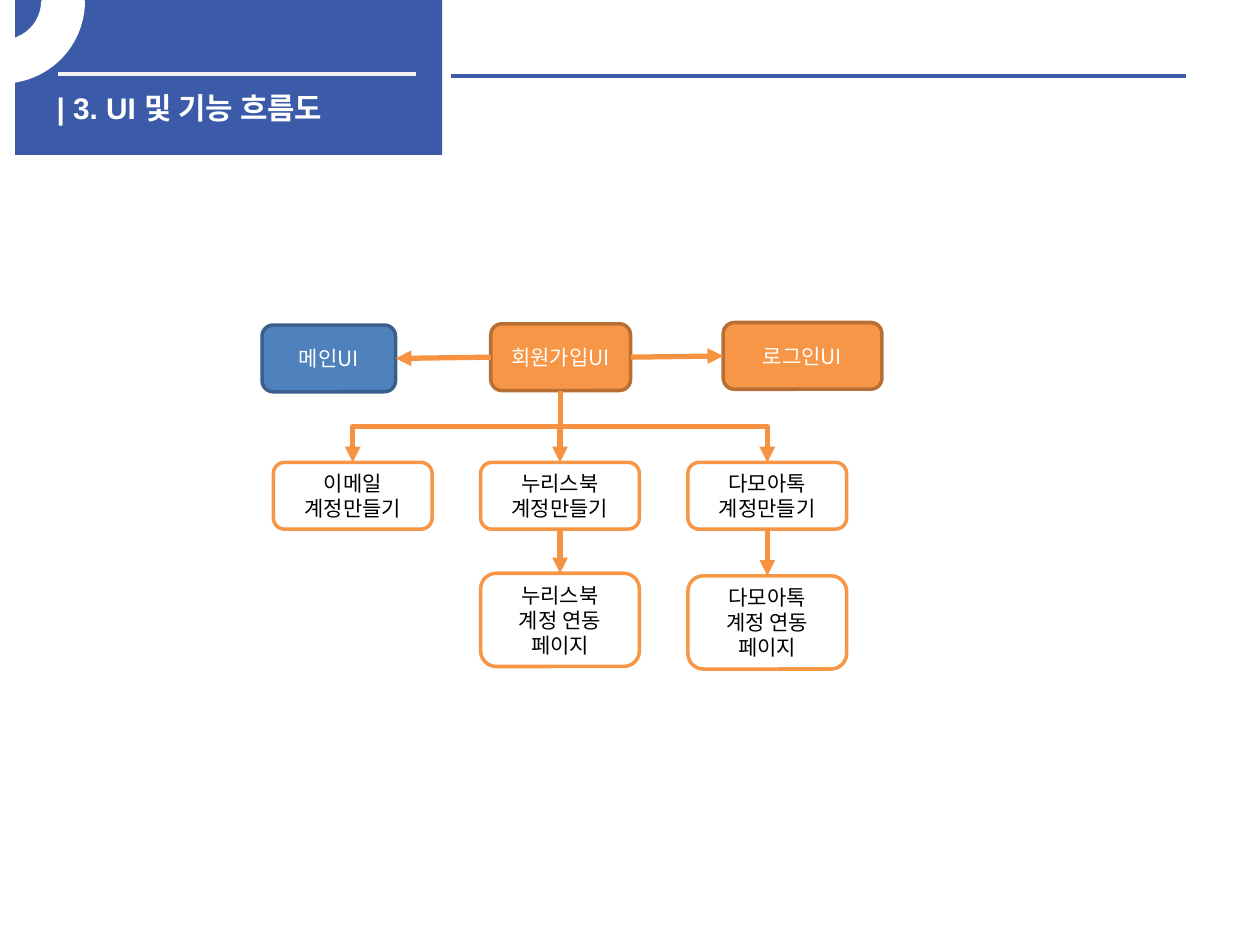
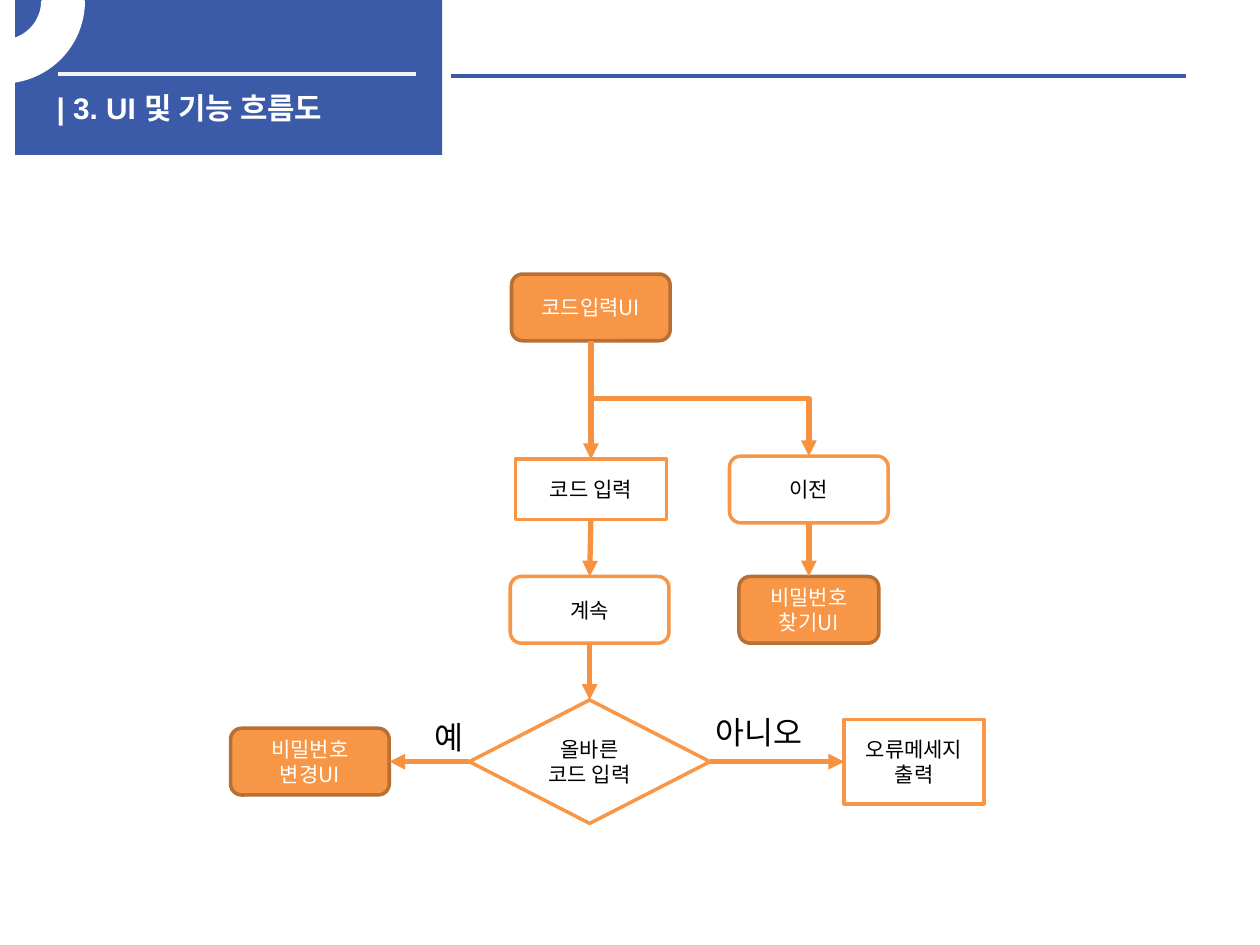
import pptx
import pptx.util
import pptx.dml.color
import pptx.enum.shapes
import pptx.enum.text
import pptx.oxml
import pptx.oxml.ns

SHAPES = pptx.enum.shapes.MSO_SHAPE
LINES = pptx.enum.shapes.MSO_CONNECTOR
ALIGN = pptx.enum.text.PP_ALIGN
ANCHOR = pptx.enum.text.MSO_ANCHOR
QN = pptx.oxml.ns.qn
NAMESPACE = pptx.oxml.ns.nsdecls("a")

COLUMNS, ROWS = 100, 75  # grid of square cells over the slide
SLIDE_WIDTH = pptx.util.Inches(10)
SLIDE_HEIGHT = pptx.util.Inches(7.5)

COLORS = {
    "band": "3B5AA8", "rule": "F2F2F2", "white": "FFFFFF", "black": "000000",
    "orange": "F79646", "brown": "B76F34", "blue": "4F81BD", "navy": "3A5F8C",
    "arrow": "F69240",
}
# kind of step: fill, outline, text
STYLES = {
    "screen": ("orange", "brown", "white"),
    "home": ("blue", "navy", "white"),
    "step": ("white", "orange", "black"),
}
KOREAN_FONT = "Noto Sans CJK KR"
TITLE_FONT = "Arial"
TITLE = "| 3. UI 및 기능 흐름도"

TOP, LEFT, BOTTOM, RIGHT = range(4)
WIDE, NARROW, TALL = (12.6, 5.3), (11.1, 5.3), (12.6, 7.4)


def across(columns):
    return round(SLIDE_WIDTH * columns / COLUMNS)


def down(rows):
    return round(SLIDE_HEIGHT * rows / ROWS)


def color(name):
    return pptx.dml.color.RGBColor.from_string(COLORS[name])


def write(frame, lines, size, ink, font=KOREAN_FONT, bold=False, align=ALIGN.LEFT):
    """Fill a text frame with one paragraph for each line."""
    for index, line in enumerate(lines):
        para = frame.paragraphs[0] if index == 0 else frame.add_paragraph()
        para.text = line
        para.alignment = align
        para.font.size = pptx.util.Pt(size)
        para.font.bold = bold
        para.font.color.rgb = color(ink)
        para.font.name = font
        para._p.pPr.find(QN("a:defRPr")).append(
            pptx.oxml.parse_xml(f'<a:ea {NAMESPACE} typeface="{KOREAN_FONT}"/>'))


def add_block(page, shape, left, top, width, height, fill, outline=None):
    block = page.shapes.add_shape(
        shape, across(left), down(top), across(width), down(height))
    block.shadow.inherit = False
    block.fill.solid()
    block.fill.fore_color.rgb = color(fill)
    if outline:
        block.line.color.rgb = color(outline)
        block.line.width = pptx.util.Pt(2)
    else:
        block.line.fill.background()
    return block


def add_step(page, text, center, size=WIDE, style="step",
             shape=SHAPES.ROUNDED_RECTANGLE):
    """Place a flow chart box around its centre."""
    fill, outline, ink = STYLES[style]
    (x, y), (width, height) = center, size
    box = add_block(page, shape, x - width / 2, y - height / 2,
                    width, height, fill, outline)
    frame = box.text_frame
    frame.word_wrap = True
    frame.vertical_anchor = ANCHOR.MIDDLE
    write(frame, text.split("\n"), 12, ink, align=ALIGN.CENTER)
    return box


def add_text(page, text, left, top, width, height, wrap, **look):
    box = page.shapes.add_textbox(
        across(left), down(top), across(width), down(height))
    box.text_frame.word_wrap = wrap
    write(box.text_frame, [text], **look)


def style_line(line, ink, width):
    line.line.color.rgb = color(ink)
    line.line.width = pptx.util.Pt(width)
    line._element.spPr.append(pptx.oxml.parse_xml(f"<a:effectLst {NAMESPACE}/>"))


def add_rule(page, start, end, row, ink):
    rule = page.shapes.add_connector(
        LINES.STRAIGHT, across(start), down(row), across(end), down(row))
    style_line(rule, ink, 2.25)


def add_arrow(page, source, target, leave=BOTTOM, enter=TOP, kind=LINES.STRAIGHT):
    arrow = page.shapes.add_connector(kind, 0, 0, 0, 0)
    arrow.begin_connect(source, leave)
    arrow.end_connect(target, enter)
    style_line(arrow, "arrow", 3)
    arrow.line._get_or_add_ln().append(
        pptx.oxml.parse_xml(f'<a:tailEnd {NAMESPACE} type="triangle"/>'))
    return arrow


def add_branch(page, source, target):
    """Elbow arrow that leaves downwards: a sideways elbow turned upright."""
    arrow = add_arrow(page, source, target, kind=LINES.ELBOW)
    run, drop = arrow.end_x - arrow.begin_x, arrow.end_y - arrow.begin_y
    middle_x = (arrow.begin_x + arrow.end_x) // 2
    middle_y = (arrow.begin_y + arrow.end_y) // 2
    arrow.left, arrow.top = middle_x - drop // 2, middle_y - abs(run) // 2
    arrow.width, arrow.height = drop, abs(run)
    frame = arrow._element.spPr.find(QN("a:xfrm"))
    frame.set("rot", str((270 if run > 0 else 90) * 60000))
    frame.set("flipH", "1" if run > 0 else "0")
    frame.set("flipV", "0")


def add_page(deck):
    """Blank page with the header band, rules and ring."""
    page = deck.slides.add_slide(deck.slide_layouts[6])
    add_block(page, SHAPES.RECTANGLE, 1.2, 0, 33.9, 12.3, "band")
    add_rule(page, 4.6, 33, 5.9, "rule")
    add_rule(page, 35.8, 94.1, 6, "band")
    ring = add_block(page, SHAPES.BLOCK_ARC, -6.3, -6.3, 12.9, 12.8, "white", "white")
    ring.adjustments[0] = 0
    ring.adjustments[1] = 198.41 * 0.6  # degrees, in the units of the shape
    ring.adjustments[2] = 0.25
    add_text(page, TITLE, 3.5, 6.6, 40.8, 6.4, True,
             size=17, ink="white", font=TITLE_FONT, bold=True)
    return page


def build_sign_up(deck):
    page = add_page(deck)
    # Screens
    sign_up = add_step(page, "회원가입UI", (44.5, 28.35), NARROW, "screen")
    home = add_step(page, "메인UI", (26.1, 28.45), (10.6, 5.3), "home")
    log_in = add_step(page, "로그인UI", (63.7, 28.25), WIDE, "screen")
    add_arrow(page, sign_up, home, LEFT, RIGHT)
    add_arrow(page, sign_up, log_in, RIGHT, LEFT)

    # Kinds of account, each with the row of its linking page
    accounts = [("이메일", None), ("누리스북", 49.2), ("다모아톡", 49.4)]
    for index, (account, link_row) in enumerate(accounts):
        column = 28 + 16.45 * index
        create = add_step(page, f"{account}\n계정만들기", (column, 39.35))
        add_branch(page, sign_up, create)
        if link_row:
            link = add_step(page, f"{account}\n계정 연동\n페이지",
                            (column, link_row), TALL)
            add_arrow(page, create, link)


def build_code_entry(deck):
    page = add_page(deck)
    # Code entry column
    screen = add_step(page, "코드입력UI", (46.9, 24.4), WIDE, "screen")
    entry = add_step(page, "코드 입력", (46.9, 38.85), (12, 4.8),
                     shape=SHAPES.RECTANGLE)
    proceed = add_step(page, "계속", (46.8, 48.4))
    check = add_step(page, "올바른\n코드 입력", (46.8, 60.45), (19.1, 9.8),
                     shape=SHAPES.FLOWCHART_DECISION)
    for source, target in [(screen, entry), (entry, proceed), (proceed, check)]:
        add_arrow(page, source, target)

    # Way back
    back = add_step(page, "이전", (64.2, 38.85))
    find = add_step(page, "비밀번호 찾기UI", (64.2, 48.4), NARROW, "screen")
    add_branch(page, screen, back)
    add_arrow(page, back, find)

    # Outcomes of the check
    change = add_step(page, "비밀번호\n변경UI", (24.6, 60.45), WIDE, "screen")
    error = add_step(page, "오류메세지 출력", (72.55, 60.45), (11.1, 6.7),
                     shape=SHAPES.RECTANGLE)
    add_arrow(page, check, change, LEFT, RIGHT)
    add_arrow(page, check, error, RIGHT, LEFT)
    add_text(page, "예", 33.5, 56.5, 4.5, 4, False, size=18, ink="black")
    add_text(page, "아니오", 55.8, 56.1, 9.6, 4, False, size=18, ink="black")


def main():
    deck = pptx.Presentation()
    deck.slide_width, deck.slide_height = SLIDE_WIDTH, SLIDE_HEIGHT
    build_sign_up(deck)
    build_code_entry(deck)
    deck.save("out.pptx")


if __name__ == "__main__":
    main()
